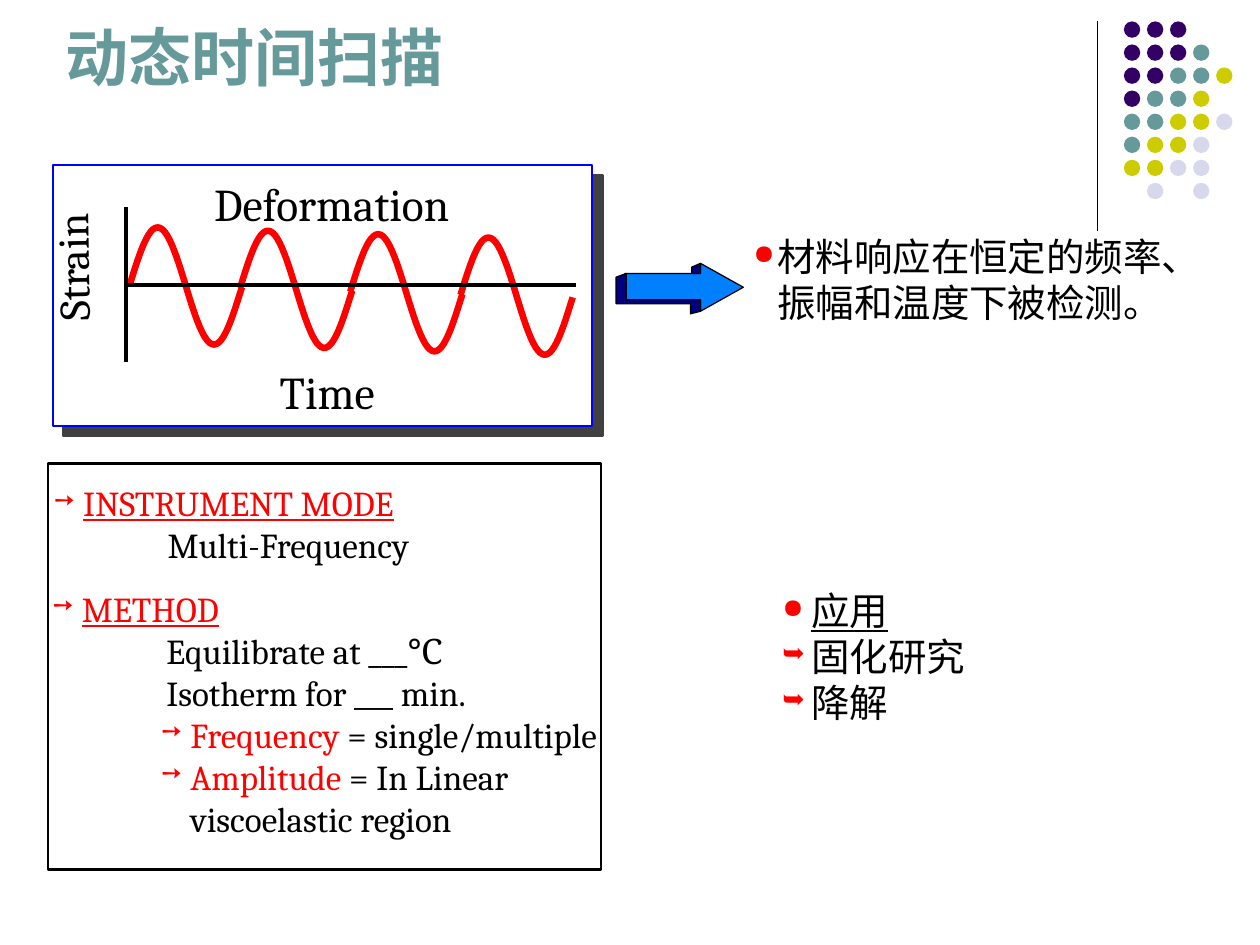
"""Builds a slide on dynamic time sweeps: strain wave, test method and applications."""
import math
from dataclasses import dataclass

from lxml import etree
from pptx import Presentation
from pptx.dml.color import RGBColor
from pptx.enum.shapes import MSO_CONNECTOR, MSO_SHAPE
from pptx.enum.text import MSO_ANCHOR, PP_ALIGN
from pptx.oxml.ns import qn
from pptx.util import Inches, Pt

STRAIGHT = MSO_CONNECTOR.STRAIGHT
OVAL, PANEL = MSO_SHAPE.OVAL, MSO_SHAPE.ROUNDED_RECTANGLE
BOTTOM, TOP = MSO_ANCHOR.BOTTOM, MSO_ANCHOR.TOP
LEFT, CENTER = PP_ALIGN.LEFT, PP_ALIGN.CENTER


@dataclass(frozen=True)
class Theme:
    black: str = "000000"
    white: str = "FFFFFF"
    red: str = "FF0000"
    teal: str = "669999"
    purple: str = "330066"
    olive: str = "CCCC00"
    lilac: str = "D8D8EC"
    frame: str = "0000FF"
    shade: str = "404040"
    arrow: str = "0080FF"
    arrow_side: str = "000080"
    head: str = "Arial"
    body: str = "Cambria"
    title: int = 36
    label: int = 26
    axis: int = 25
    note: int = 22
    method: int = 20


T = Theme()


class Deck:
    """Draws on one slide, with lengths in cells of a 100 by 75 grid."""

    def __init__(self, theme, columns=100, rows=75):
        self.theme = theme
        self.prs = Presentation()
        self.prs.slide_width, self.prs.slide_height = Inches(10), Inches(7.5)
        self.col = self.prs.slide_width / columns
        self.row = self.prs.slide_height / rows
        self.s = self.prs.slides.add_slide(self.prs.slide_layouts[6])

    def grid(self, *cells):
        return [round(v * (self.row if i % 2 else self.col)) for i, v in enumerate(cells)]

    def paint(self, sp, fill=None, line=None, width=1):
        sp.shadow.inherit = False
        if fill:
            sp.fill.solid()
            sp.fill.fore_color.rgb = RGBColor.from_string(fill)
        else:
            sp.fill.background()
        if line:
            sp.line.color.rgb = RGBColor.from_string(line)
            sp.line.width = Pt(width)
        else:
            sp.line.fill.background()

    def dot(self, x, y, size, color):
        self.paint(self.s.shapes.add_shape(OVAL, *self.grid(x, y, size, size)), color)

    def panel(self, box, line, shadow=None):
        sp = self.s.shapes.add_shape(PANEL, *self.grid(*box))
        sp.adjustments[0] = 0
        self.paint(sp, self.theme.white, line, 1.47)
        if shadow:
            effects = sp._element.spPr.find(qn("a:effectLst"))
            outer = etree.SubElement(effects, qn("a:outerShdw"), blurRad="0",
                                     dist=str(Pt(8.1)), dir=str(45 * 60000), rotWithShape="0")
            etree.SubElement(outer, qn("a:srgbClr"), val=shadow)

    def line(self, x1, y1, x2, y2, width):
        c = self.s.shapes.add_connector(STRAIGHT, *self.grid(x1, y1, x2, y2))
        c.line.color.rgb = RGBColor.from_string(self.theme.black)
        c.line.width = Pt(width)
        etree.SubElement(c._element.spPr, qn("a:effectLst"))

    def outline(self, points, line, width, fill=None):
        start, *rest = [self.grid(*p) for p in points]
        fb = self.s.shapes.build_freeform(*start)
        fb.add_line_segments(rest, close=bool(fill))
        self.paint(fb.convert_to_shape(), fill, line, width)

    def text(self, box, paragraphs, size, font=None, pitch=None, align=LEFT,
             anchor=TOP, bold=False, rotation=0):
        """Adds paragraphs of (runs, margin, indent, bullet); a run is (text, color, underline)."""
        tb = self.s.shapes.add_textbox(*self.grid(*box))
        tb.rotation = rotation
        tf = tb.text_frame
        tf.word_wrap = True
        tf.vertical_anchor = anchor
        tf.margin_left = tf.margin_top = tf.margin_right = tf.margin_bottom = 0
        for i, (runs, margin, indent, bullet) in enumerate(paragraphs):
            p = tf.paragraphs[0] if i == 0 else tf.add_paragraph()
            self.bullet(p, margin, indent, bullet)
            p.alignment = align
            if pitch:
                p.line_spacing = Pt(pitch)
            for words, color, underline in runs:
                r = p.add_run()
                r.text = words
                r.font.name = font or self.theme.body
                r.font.size = Pt(size)
                r.font.bold = bold
                r.font.underline = underline
                r.font.color.rgb = RGBColor.from_string(color)

    def bullet(self, p, margin, indent, mark):
        pPr = p._p.get_or_add_pPr()
        pPr.set("marL", str(round(margin * self.col)))
        pPr.set("indent", str(round(indent * self.col)))
        if mark:
            color = etree.SubElement(pPr, qn("a:buClr"))
            etree.SubElement(color, qn("a:srgbClr"), val=self.theme.red)
            etree.SubElement(pPr, qn("a:buSzPct"), val="70000")
            etree.SubElement(pPr, qn("a:buChar"), char=mark)
        else:
            etree.SubElement(pPr, qn("a:buNone"))


def plain(words, color=T.black, margin=0):
    return [(words, color, False)], margin, 0, None


def item(mark, *runs, margin=2.3, hang=2.3):
    return runs, margin, -hang, mark


def draw_corner(d):
    d.line(87.1, 1.7, 87.1, 18.3, 0.75)
    colors = {"P": T.purple, "T": T.teal, "O": T.olive, "L": T.lilac}
    pattern = ["PPP", "PPPT", "PPTTO", "PTTO", "TTOOL", "TOOL", "OOLL", " L L"]
    for row, keys in enumerate(pattern):
        for col, key in enumerate(keys):
            if key in colors:
                d.dot(89.2 + 1.83 * col, 1.7 + 1.83 * row, 1.3, colors[key])


def draw_strain(d):
    d.panel((4.2, 13.1, 42.8, 20.7), T.frame, T.shade)
    steps, length, height = 48, 8.9, 4.6
    for cycle in range(4):
        x, y = 10.3 + 8.75 * cycle, 22.6 + 0.27 * cycle
        wave = [(x + length * k / steps,
                 y + 0.2 * k / steps - height * math.sin(math.tau * k / steps))
                for k in range(steps + 1)]
        d.outline(wave, T.red, 3.75)
    d.line(10, 22.6, 45.7, 22.6, 2.47)
    d.line(10, 16.4, 10, 28.7, 2.47)
    d.text((0.9, 19.1, 9.6, 4.2), [plain("Strain")], T.axis, align=CENTER, rotation=269)
    d.text((22.2, 28.9, 8.7, 4.2), [plain("Time")], T.label)
    d.text((17, 14, 21, 4.2), [plain("Deformation")], T.label)


def draw_arrow(d):
    front = [(59, 22.8), (55.6, 24.7), (55.6, 23.8), (49.6, 23.8),
             (49.6, 21.7), (55.6, 21.7), (55.6, 20.9)]
    side = [(55.6, 23.8), (55.6, 24.7), (54.8, 24.9), (54.8, 24.1),
            (48.9, 24.1), (48.9, 22), (49.7, 21.7), (49.7, 23.8)]
    tip = [(55.6, 20.9), (55.6, 21.7), (54.9, 21.7), (54.9, 21.2)]
    for face, color in ((front, T.arrow), (side, T.arrow_side), (tip, T.arrow_side)):
        d.outline(face, T.black, 0.71, color)


def draw_notes(d):
    d.text((59.8, 18.5, 36.7, 9.4),
           [item("●", ("材料响应在恒定的频率、振幅和温度下被检测。", T.black, False),
                 margin=1.9, hang=1.9)], T.note, pitch=26.4)
    d.text((62.1, 46.6, 20.5, 11.6),
           [item("●", ("应用", T.black, True))]
           + [item("➥", (use, T.black, False)) for use in ("固化研究", "降解")],
           T.note, pitch=26.4)


def draw_method(d):
    d.panel((3.8, 36.8, 43.9, 32.2), T.black)
    d.text((4.3, 38.2, 32.7, 6.9),
           [item("➙", ("INSTRUMENT MODE", T.red, True)),
            plain("Multi-Frequency", margin=9)], T.method, pitch=24)
    settings = {"Frequency": " = single/multiple",
                "Amplitude": " = In Linear viscoelastic region"}
    d.text((4.2, 46.6, 43.8, 21.2),
           [item("➙", ("METHOD", T.red, True))]
           + [plain(step, margin=9) for step in ("Equilibrate at ___℃", "Isotherm for ___ min.")]
           + [item("➙", (name, T.red, False), (value, T.black, False), margin=10.9)
              for name, value in settings.items()], T.method, pitch=24)


def main():
    d = Deck(T)
    draw_corner(d)
    d.text((5.2, 0, 88.9, 7.5), [plain("动态时间扫描", T.teal)], T.title, T.head,
           anchor=BOTTOM, bold=True)
    draw_strain(d)
    draw_notes(d)
    draw_arrow(d)
    draw_method(d)
    d.prs.save("out.pptx")


if __name__ == "__main__":
    main()
